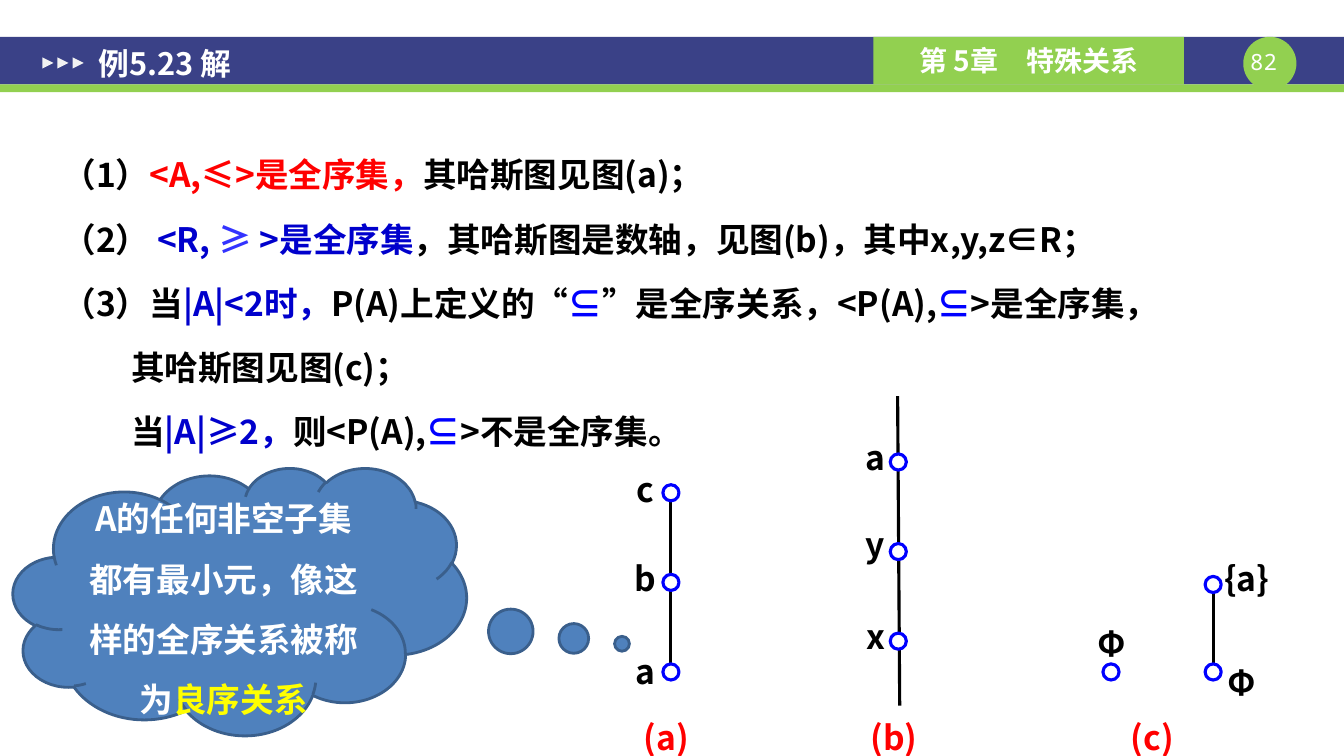
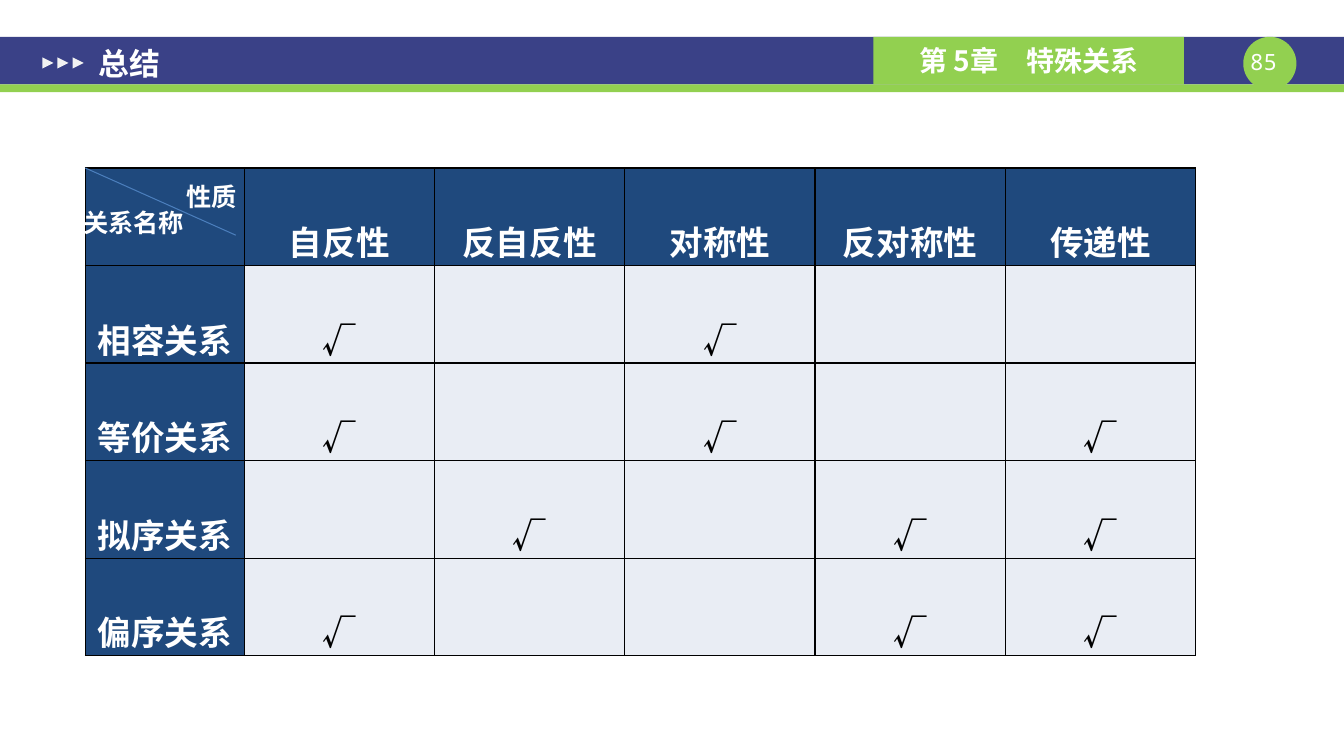
from lxml import etree
from pptx import Presentation
from pptx.dml.color import RGBColor
from pptx.enum import shapes, text
from pptx.oxml import ns
from pptx.util import Pt

SANS = "Noto Sans CJK SC"
MONO = "Noto Sans Mono"
WHITE, BLACK, RED, BLUE = "FFFFFF", "000000", "FF0000", "0000FF"
NAVY, GREEN, DEEP_BLUE, YELLOW = "3A4187", "92D050", "0000CC", "FFFF00"
HEAD_FILL, BODY_FILL = "1F497D", "E9EDF4"
CENTER, LEFT = text.PP_ALIGN.CENTER, text.PP_ALIGN.LEFT
MIDDLE, TOP = text.MSO_ANCHOR.MIDDLE, text.MSO_ANCHOR.TOP
SHAPE = shapes.MSO_SHAPE
NODE_SIZE = 11.5
NODE_STEP = 64

STATEMENTS = [
    (0, [("（1）", BLACK), ("<A,≤>是全序集，", RED), ("其哈斯图见图(a)；", BLACK)]),
    (0, [("（2） ", BLACK), ("<R,", DEEP_BLUE), (" ≥ ", "3333FF"), (">是全序集", DEEP_BLUE),
         ("，其哈斯图是数轴，见图(b)，其中x,y,z∈R；", BLACK)]),
    (0, [("（3）当", BLACK), ("|A|<2时，", DEEP_BLUE), ("P(A)上定义的“", BLACK), ("⊆", BLUE),
         ("”是全序关系，<P(A),", BLACK), ("⊆", BLUE), (">是全序集，", BLACK)]),
    (49, [("其哈斯图见图(c)；", BLACK)]),
    (49, [("当", BLACK), ("|A|≥2，", DEEP_BLUE), ("则<P(A),", BLACK), ("⊆", BLUE),
          (">不是全序集。", BLACK)]),
]
PROPERTIES = ["自反性", "反自反性", "对称性", "反对称性", "传递性"]
RELATIONS = {
    "相容关系": ["自反性", "对称性"],
    "等价关系": ["自反性", "对称性", "传递性"],
    "拟序关系": ["反自反性", "反对称性", "传递性"],
    "偏序关系": ["自反性", "反对称性", "传递性"],
}


def color(value):
    """Turn a hex string into a colour."""
    return RGBColor.from_string(value)


def add_span(para, words, size, hue, font=SANS, bold=True):
    """Add one formatted run to a paragraph."""
    span = para.add_run()
    span.text = words
    span.font.size = Pt(size)
    span.font.name = font
    span.font.bold = bold
    span.font.color.rgb = color(hue)
    east_asian = etree.SubElement(span.font._element, ns.qn("a:ea"))
    east_asian.set("typeface", SANS)


def set_frame(frame, insets, anchor, wrap=True):
    """Set the insets (left and right, top and bottom), anchor and wrapping."""
    frame.word_wrap = wrap
    frame.vertical_anchor = anchor
    frame.margin_left = frame.margin_right = Pt(insets[0])
    frame.margin_top = frame.margin_bottom = Pt(insets[1])


def add_text(page, left, top, width, height, words, size, hue=WHITE, align=CENTER,
             anchor=MIDDLE, insets=(0, 0), wrap=True, font=SANS, bold=True, spacing=None):
    """Add a text box with one paragraph."""
    box = page.shapes.add_textbox(Pt(left), Pt(top), Pt(width), Pt(height))
    set_frame(box.text_frame, insets, anchor, wrap)
    para = box.text_frame.paragraphs[0]
    para.alignment = align
    if spacing:
        para.line_spacing = Pt(spacing)
    add_span(para, words, size, hue, font, bold)


def add_shape(page, kind, left, top, width, height, fill, line=None, weight=1):
    """Add a flat preset shape."""
    shape = page.shapes.add_shape(kind, Pt(left), Pt(top), Pt(width), Pt(height))
    shape.shadow.inherit = False
    shape.fill.solid()
    shape.fill.fore_color.rgb = color(fill)
    if line:
        shape.line.color.rgb = color(line)
        shape.line.width = Pt(weight)
    else:
        shape.line.fill.background()
    return shape


def add_line(page, start, end, hue=BLACK, weight=2.25):
    """Add a straight line without a shadow."""
    line = page.shapes.add_connector(shapes.MSO_CONNECTOR.STRAIGHT,
                                     *(Pt(value) for value in (*start, *end)))
    line.line.color.rgb = color(hue)
    line.line.width = Pt(weight)
    etree.SubElement(line._element.spPr, ns.qn("a:effectLst"))


def add_node(page, center, middle):
    """Add a Hasse diagram node."""
    add_shape(page, SHAPE.OVAL, center - NODE_SIZE / 2, middle - NODE_SIZE / 2,
              NODE_SIZE, NODE_SIZE, WHITE, BLUE, 2.25)


def add_label(page, words, center, top, hue=BLACK):
    """Add a diagram label centred on a point."""
    add_text(page, center - 20, top, 40, 29, words, 24, hue, anchor=TOP, wrap=False, spacing=30)


def add_chain(page, center, first, label_center, labels, start, end):
    """Add a vertical chain of labelled nodes."""
    add_line(page, start, end)
    for index, (words, top) in enumerate(labels):
        add_node(page, center, first + index * NODE_STEP)
        add_label(page, words, label_center, top)


def add_page(deck, title, number):
    """Add a page with the shared header."""
    page = deck.slides.add_slide(deck.slide_layouts[6])
    add_shape(page, SHAPE.RECTANGLE, 0, 26.3, 960.5, 34, NAVY)
    add_shape(page, SHAPE.RECTANGLE, 0, 60.2, 960.5, 5.6, GREEN)
    add_shape(page, SHAPE.OVAL, 888.5, 26.3, 38, 38, GREEN)
    add_text(page, 884, 34.6, 38, 20, number, 16, anchor=TOP, font=MONO, bold=False)
    add_shape(page, SHAPE.RECTANGLE, 624.2, 26.3, 222, 34, GREEN)
    add_text(page, 624.2, 26.3, 222, 34, "第 5章　特殊关系", 20)
    for index in range(3):
        arrow = add_shape(page, SHAPE.ISOSCELES_TRIANGLE, 30.2 + index * 10.8, 41, 8, 8, "F2F2F2")
        arrow.rotation = 90
    add_text(page, 61.2, 28, 420, 34, title, 22, align=LEFT, insets=(9.4, 5))
    return page


def add_statements(page):
    """Add the solution text."""
    box = page.shapes.add_textbox(Pt(35.3), Pt(91), Pt(895), Pt(275))
    frame = box.text_frame
    set_frame(frame, (9.4, 5), TOP)
    for index, (indent, spans) in enumerate(STATEMENTS):
        para = frame.add_paragraph() if index else frame.paragraphs[0]
        para.line_spacing = Pt(43)
        if index:
            para.space_before = Pt(2.8)
        if indent:
            para._p.get_or_add_pPr().set("marL", str(Pt(indent)))
        for words, hue in spans:
            add_span(para, words, 24, hue)


def add_cloud(page):
    """Add the cloud callout about well-orderings."""
    cloud = add_shape(page, SHAPE.CLOUD_CALLOUT, 9.4, 334, 324, 191, "4F81BD", "3A5F8C", 2)
    cloud.adjustments[0] = 0.843
    cloud.adjustments[1] = 0.159
    set_frame(cloud.text_frame, (7.2, 3.6), MIDDLE)
    cloud.text_frame.margin_top = Pt(9)
    para = cloud.text_frame.paragraphs[0]
    para.alignment = CENTER
    para.line_spacing = Pt(43)
    add_span(para, "A的任何非空子集都有最小元，像这样的全序关系被称为", 24, WHITE)
    add_span(para, "良序关系", 24, YELLOW)


def add_diagrams(page):
    """Add the three Hasse diagrams."""
    add_chain(page, 479.5, 352, 461, [("c", 334), ("b", 397.5), ("a", 463.7)],
              (479, 352), (479, 475))
    add_chain(page, 642, 330, 625.7, [("a", 311), ("y", 373), ("x", 438.5)],
              (641.5, 283), (643, 504))
    add_line(page, (867, 417.5), (867, 476))
    for center, middle in [(794, 480), (867, 417.5), (867, 480)]:
        add_node(page, center, middle)
    for words, center, top in [("Φ", 794.5, 443.5), ("Φ", 887.4, 471.6), ("{a}", 891, 397.5)]:
        add_label(page, words, center, top)
    for words, center in [("(a)", 476.2), ("(b)", 639), ("(c)", 823.5)]:
        add_label(page, words, center, 511, RED)


def format_cell(cell, words, hue, fill):
    """Fill, border and write one table cell."""
    cell.fill.solid()
    cell.fill.fore_color.rgb = color(fill)
    cell.vertical_anchor = text.MSO_ANCHOR.BOTTOM
    cell.margin_left = cell.margin_right = Pt(5)
    cell.margin_top = cell.margin_bottom = 0
    properties = cell._tc.get_or_add_tcPr()
    for index, side in enumerate(("a:lnL", "a:lnR", "a:lnT", "a:lnB")):
        border = etree.Element(ns.qn(side), w=str(Pt(1)))
        solid = etree.SubElement(border, ns.qn("a:solidFill"))
        etree.SubElement(solid, ns.qn("a:srgbClr"), val=BLACK)
        properties.insert(index, border)
    if words:
        para = cell.text_frame.paragraphs[0]
        para.alignment = CENTER
        add_span(para, words, 24, hue)


def add_summary(page):
    """Add the table of relations and their properties."""
    rows = [["", *PROPERTIES]]
    for name, held in RELATIONS.items():
        rows.append([name, *("√" if item in held else "" for item in PROPERTIES)])
    table = page.shapes.add_table(len(rows), len(rows[0]), Pt(61), Pt(120),
                                  Pt(793.5), Pt(348.5)).table
    table.first_row = table.horz_banding = False
    for index, column in enumerate(table.columns):
        column.width = Pt(136 if index else 113.5)
    for row_index, row in enumerate(rows):
        table.rows[row_index].height = Pt(69.7)
        for column_index, words in enumerate(row):
            heading = row_index == 0 or column_index == 0
            format_cell(table.cell(row_index, column_index), words,
                        WHITE if heading else BLACK, HEAD_FILL if heading else BODY_FILL)
    add_line(page, (61, 120), (168.5, 168), "4B7EBC", 0.75)
    for words, left, top, width in [("性质", 109.4, 123, 84), ("关系名称", 41.8, 142, 107)]:
        add_text(page, left, top, width, 34, words, 18, insets=(7.2, 3.6), font="Arial")


def main():
    """Build and save the deck."""
    deck = Presentation()
    deck.slide_width = Pt(960.5)
    deck.slide_height = Pt(540)
    solution = add_page(deck, "例5.23 解", "82")
    add_statements(solution)
    add_diagrams(solution)
    add_cloud(solution)
    add_summary(add_page(deck, "总结", "85"))
    deck.save("out.pptx")


if __name__ == "__main__":
    main()
